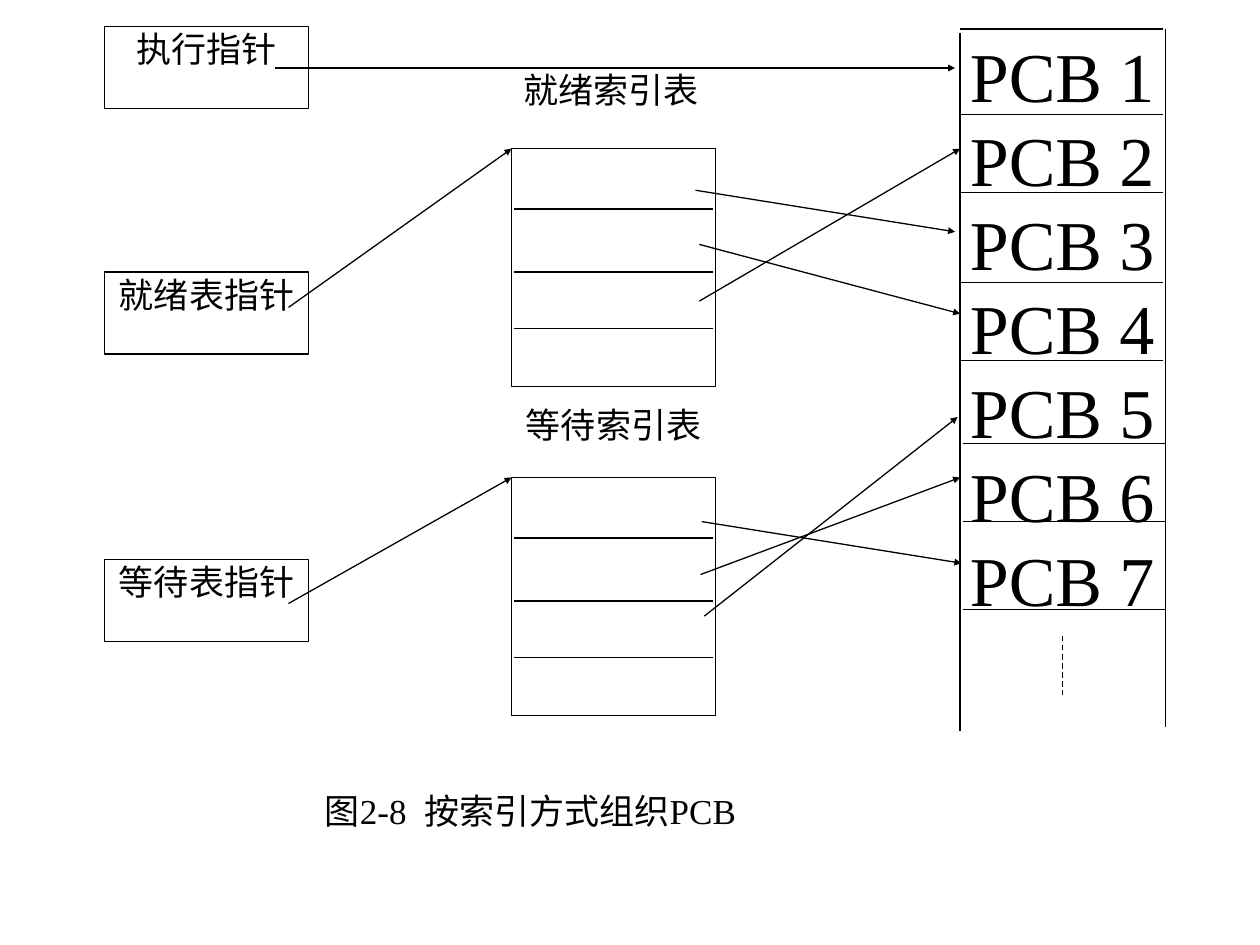
from lxml import etree
from pptx import Presentation
from pptx.dml.color import RGBColor
from pptx.enum.dml import MSO_LINE
from pptx.enum.shapes import MSO_CONNECTOR, MSO_SHAPE
from pptx.enum.text import MSO_ANCHOR, PP_ALIGN
from pptx.oxml.ns import qn
from pptx.util import Inches, Pt

STRAIGHT, RECT, DASH = MSO_CONNECTOR.STRAIGHT, MSO_SHAPE.RECTANGLE, MSO_LINE.DASH
TOP, MIDDLE, CENTER = MSO_ANCHOR.TOP, MSO_ANCHOR.MIDDLE, PP_ALIGN.CENTER

THEME = {
    "ink": RGBColor(0, 0, 0),
    "paper": RGBColor(255, 255, 255),
    "font": "Times New Roman",
    "label": Pt(20),
    "pcb": Pt(40),
    "pcb_pitch": Pt(48),
    "line": Pt(0.75),
}

# Content: pointers (text, top), index tables (title, title left, title top, table top)
POINTERS = [("执行指针", 0.21), ("就绪表指针", 2.16), ("等待表指针", 4.44)]
INDEX_TABLES = [("就绪索引表", 4.04, 0.53, 1.18), ("等待索引表", 4.06, 3.19, 3.79)]
PCBS = [f"PCB {n}" for n in range(1, 8)]
CAPTION = "图2-8  按索引方式组织PCB"

# Grid: three columns of equal width
POINTER_X, INDEX_X, PCB_X = 0.83, 4.06, 7.62
COL_W, BOX_H, INDEX_H = 1.62, 0.65, 1.89
PCB_TOP, PCB_H, PCB_RIGHT = 0.21, 5.54, 9.25
RULE_W, RULE_INSET = 1.61, 0.02
INDEX_RULES = [0.48, 0.98, 1.43]
# Rules of the PCB column by left edge
PCB_RULES = {
    PCB_X: [0.23, 0.91, 1.53, 2.24, 2.86],
    PCB_X + RULE_INSET: [3.52, 4.14, 4.84],
}
ARROWS = [
    (2.18, 0.54, 7.58, 0.54),
    (2.29, 2.44, INDEX_X, 1.18),
    (2.29, 4.79, INDEX_X, 3.79),
    (5.52, 1.51, 7.58, 1.84),
    (5.55, 1.94, PCB_X, 2.49),
    (5.55, 2.39, PCB_X, 1.18),
    (5.57, 4.14, 7.63, 4.47),
    (5.56, 4.56, PCB_X, 3.79),
    (5.59, 4.89, 7.60, 3.31),
]

prs = Presentation()
prs.slide_width, prs.slide_height = Inches(10), Inches(7.5)
s = prs.slides.add_slide(prs.slide_layouts[6])


def write(sp, lines, size, pitch=None, **frame):
    tf = sp.text_frame
    values = {"word_wrap": True, "vertical_anchor": TOP,
              "margin_left": Inches(0.02), "margin_right": Inches(0.02),
              "margin_top": Inches(0.01), "margin_bottom": Inches(0.01)}
    for name, value in {**values, **frame}.items():
        setattr(tf, name, value)
    for i, text in enumerate(lines):
        p = tf.paragraphs[0] if i == 0 else tf.add_paragraph()
        p.alignment = CENTER
        if pitch:
            p.line_spacing = pitch
        r = p.add_run()
        r.text = text
        r.font.name, r.font.size = THEME["font"], size
        r.font.color.rgb = THEME["ink"]


def label(x, y, w, h, lines, size=THEME["label"], **frame):
    sp = s.shapes.add_textbox(*map(Inches, (x, y, w, h)))
    write(sp, lines, size, **frame)


def box(x, y, h):
    sp = s.shapes.add_shape(RECT, *map(Inches, (x, y, COL_W, h)))
    sp.shadow.inherit = False
    sp.fill.solid()
    sp.fill.fore_color.rgb = THEME["paper"]
    sp.line.color.rgb, sp.line.width = THEME["ink"], THEME["line"]
    return sp


def line(x1, y1, x2, y2, arrow=False, dash=None):
    c = s.shapes.add_connector(STRAIGHT, *map(Inches, (x1, y1, x2, y2)))
    c.line.color.rgb, c.line.width = THEME["ink"], THEME["line"]
    if dash:
        c.line.dash_style = dash
    if arrow:
        etree.SubElement(c.line._get_or_add_ln(), qn("a:tailEnd"),
                         type="triangle", w="sm", len="sm")
    etree.SubElement(c._element.spPr, qn("a:effectLst"))


# Pointer boxes
for text, y in POINTERS:
    write(box(POINTER_X, y, BOX_H), [text], THEME["label"])

# Index tables with their titles
for title, title_x, title_y, y in INDEX_TABLES:
    box(INDEX_X, y, INDEX_H)
    for dy in INDEX_RULES:
        line(INDEX_X + RULE_INSET, y + dy, INDEX_X + COL_W - RULE_INSET, y + dy)
    label(title_x, title_y, COL_W, BOX_H, [title])

# PCB column, open at the bottom
label(PCB_X, PCB_TOP, COL_W, PCB_H, PCBS, THEME["pcb"],
      pitch=THEME["pcb_pitch"], margin_top=Inches(0.05))
for x, tops in PCB_RULES.items():
    for y in tops:
        line(x, y, x + RULE_W, y)
line(PCB_X, 0.26, PCB_X, 5.8)
line(PCB_RIGHT, 0.23, PCB_RIGHT, 5.77)
line(8.43, 5.05, 8.43, 5.52, dash=DASH)

# Arrows from pointers and index entries
for ends in ARROWS:
    line(*ends, arrow=True)

# Caption
label(2.38, 6.21, 3.66, 0.44, [CAPTION], word_wrap=False, vertical_anchor=MIDDLE)

prs.save("out.pptx")
